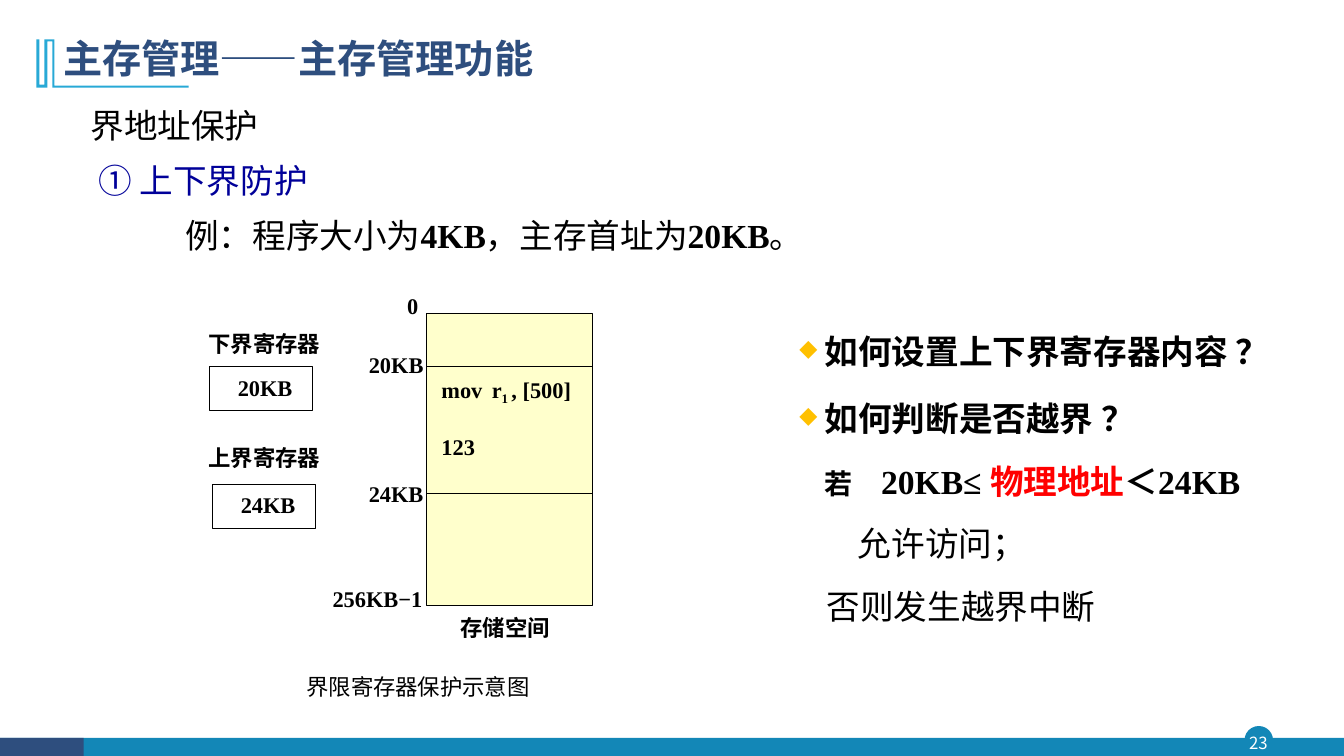
"""Build the slide on main-memory bounds protection with lower and upper limit registers."""
from dataclasses import dataclass

from lxml import etree
from pptx import Presentation
from pptx.dml.color import RGBColor
from pptx.enum.shapes import MSO_CONNECTOR, MSO_SHAPE
from pptx.enum.text import MSO_ANCHOR, PP_ALIGN
from pptx.oxml.ns import qn
from pptx.util import Pt

PX = 9144
WIDTH, HEIGHT = 1333, 750
RECT, OVAL = MSO_SHAPE.RECTANGLE, MSO_SHAPE.OVAL
STRAIGHT = MSO_CONNECTOR.STRAIGHT
TOP, MIDDLE = MSO_ANCHOR.TOP, MSO_ANCHOR.MIDDLE
LEFT, CENTER = PP_ALIGN.LEFT, PP_ALIGN.CENTER
SERIF, SANS = "Times New Roman", "Noto Sans CJK SC"
COLORS = {
    "teal": "1387B7", "navy": "2E4E7E", "sky": "28A9D6", "black": "000000",
    "white": "FFFFFF", "cream": "FFFFCC", "blue": "000099", "red": "FF0000",
    "gold": "FFC000",
}


@dataclass(frozen=True)
class Piece:
    text: str
    size: float | None = None
    bold: bool | None = None
    color: str | None = None
    baseline: int | None = None


@dataclass(frozen=True)
class Para:
    pieces: tuple[Piece, ...]
    size: float = 24
    bold: bool = False
    color: str = "black"
    font: str = SERIF
    spacing: float | None = None
    before: float = 0
    margin: int = 0
    indent: int = 0
    tab: int = 0
    bullet: str = ""
    align: PP_ALIGN = LEFT


@dataclass(frozen=True)
class Block:
    box: tuple[int, int, int, int]
    paras: tuple[Para, ...]
    anchor: MSO_ANCHOR = TOP
    inset: tuple[int, int] = (10, 5)


@dataclass(frozen=True)
class Panel:
    box: tuple[int, int, int, int]
    fill: str
    line: str | None = None
    weight: float = 0.75
    kind: MSO_SHAPE = RECT


def rgb(name: str) -> RGBColor:
    return RGBColor.from_string(COLORS[name])


def emu(*lengths: int) -> list[int]:
    return [length * PX for length in lengths]


def label(left: int, top: int, width: int, text: str, bold: bool = True) -> Block:
    return Block((left, top, width, 37), (Para((Piece(text),), size=16, bold=bold),))


def add_mark(props, tag: str, **attributes: str):
    return etree.SubElement(props, qn(tag), attributes)


def write_para(paragraph, para: Para) -> None:
    props = paragraph._p.get_or_add_pPr()
    props.set("marL", str(para.margin * PX))
    props.set("indent", str(para.indent * PX))
    if para.bullet:
        tint = add_mark(props, "a:buClr")
        add_mark(tint, "a:srgbClr", val=COLORS["gold"])
        add_mark(props, "a:buSzPct", val="70000")
        add_mark(props, "a:buChar", char=para.bullet)
    if para.tab:
        stops = add_mark(props, "a:tabLst")
        add_mark(stops, "a:tab", pos=str(para.tab * PX), algn="l")
    paragraph.alignment = para.align
    if para.spacing:
        paragraph.line_spacing = para.spacing
    if para.before:
        paragraph.space_before = Pt(para.before)
    font = paragraph.font
    font.size, font.bold, font.name = Pt(para.size), para.bold, para.font
    font.color.rgb = rgb(para.color)
    add_mark(font._element, "a:ea", typeface=SANS)
    for piece in para.pieces:
        run = paragraph.add_run()
        run.text = piece.text
        if piece.size:
            run.font.size = Pt(piece.size)
        if piece.bold is not None:
            run.font.bold = piece.bold
        if piece.color:
            run.font.color.rgb = rgb(piece.color)
        if piece.baseline:
            run.font._element.set("baseline", str(piece.baseline * 1000))


def draw_block(slide, block: Block) -> None:
    frame = slide.shapes.add_textbox(*emu(*block.box)).text_frame
    frame.word_wrap = True
    frame.vertical_anchor = block.anchor
    frame.margin_left = frame.margin_right = block.inset[0] * PX
    frame.margin_top = frame.margin_bottom = block.inset[1] * PX
    for index, para in enumerate(block.paras):
        write_para(frame.add_paragraph() if index else frame.paragraphs[0], para)


def draw_panel(slide, panel: Panel) -> None:
    shape = slide.shapes.add_shape(panel.kind, *emu(*panel.box))
    shape.shadow.inherit = False
    shape.fill.solid()
    shape.fill.fore_color.rgb = rgb(panel.fill)
    if panel.line:
        shape.line.color.rgb = rgb(panel.line)
        shape.line.width = Pt(panel.weight)
    else:
        shape.line.fill.background()


def draw_divider(slide, y: int) -> None:
    divider = slide.shapes.add_connector(STRAIGHT, *emu(424, y, 588, y))
    divider.line.color.rgb = rgb("black")
    divider.line.width = Pt(0.75)
    add_mark(divider._element.spPr, "a:effectLst")


def draw_emblem(slide) -> None:
    outline = [(54, 39), (54, 85), (187, 85), (187, 87), (52, 87), (52, 41), (47, 41),
               (47, 87), (36, 87), (36, 39), (39, 39), (39, 84), (44, 84), (44, 39)]
    builder = slide.shapes.build_freeform(*outline[0], scale=PX)
    builder.add_line_segments(outline[1:], close=True)
    emblem = builder.convert_to_shape()
    emblem.shadow.inherit = False
    emblem.fill.solid()
    emblem.fill.fore_color.rgb = rgb("sky")
    emblem.line.fill.background()


PANELS = (
    Panel((1235, 721, 27, 27), "teal", "teal", 1, OVAL),
    Panel((0, 732, WIDTH, 18), "teal"),
    Panel((0, 732, 83, 18), "navy"),
    Panel((423, 311, 165, 290), "cream", "black"),
    Panel((208, 364, 102, 43), "white", "black"),
    Panel((211, 481, 102, 43), "white", "black"),
)
QUESTION = {"bold": True, "font": SANS, "spacing": 1.5, "margin": 94, "indent": -25, "bullet": "◆"}
BLOCKS = (
    Block((1232, 721, 32, 31), (Para((Piece("23"),), size=12, color="white", font=SANS,
                                     align=CENTER),), MIDDLE, (0, 0)),
    Block((53, 32, 1049, 56), (Para((Piece("主存管理——主存管理功能"),), size=28, bold=True,
                                    color="navy", font=SANS, spacing=0.9),), MIDDLE),
    Block((80, 91, 916, 170), (
        Para((Piece("界地址保护"),), spacing=1.2),
        Para((Piece("① 上下界防护"),), color="blue", spacing=1.2, before=4.8, indent=8),
        Para((Piece("例：程序大小为"), Piece("4KB", bold=True), Piece("，主存首址为"),
              Piece("20KB", bold=True), Piece("。")), spacing=1.2, before=4.8, indent=94),
    )),
    Block((428, 368, 160, 100), (
        Para((Piece("mov\tr"), Piece("1 ", baseline=-25), Piece(", [500]")),
             size=16, bold=True, tab=54),
        Para((Piece("123"),), size=16, bold=True, before=19),
    )),
    label(394, 285, 34, "0"),
    label(356, 343, 88, "20KB"),
    label(356, 471, 90, "24KB"),
    label(320, 576, 119, "256KB−1"),
    label(447, 604, 115, "存储空间"),
    label(197, 323, 146, "下界寄存器"),
    label(226, 366, 85, "20KB"),
    label(197, 436, 138, "上界寄存器"),
    label(229, 482, 87, "24KB"),
    Block((714, 303, 565, 332), (
        Para((Piece("如何设置上下界寄存器内容 ？"),), **QUESTION),
        Para((Piece("如何判断是否越界 ？"),), before=5, **QUESTION),
        Para((Piece("若\t", size=20), Piece("20KB≤ "), Piece("物理地址", color="red"),
              Piece("＜24KB")), bold=True, spacing=1.3, before=7.2, indent=94, tab=131),
        Para((Piece("允许访问；"),), spacing=1.3, before=7.2, indent=127),
        Para((Piece("否则发生越界中断"),), spacing=1.3, before=7.2, indent=96),
    )),
    label(294, 663, 268, "界限寄存器保护示意图", bold=False),
)


def main() -> None:
    deck = Presentation()
    deck.slide_width, deck.slide_height = emu(WIDTH, HEIGHT)
    slide = deck.slides.add_slide(deck.slide_layouts[6])
    for panel in PANELS:
        draw_panel(slide, panel)
    draw_emblem(slide)
    for y in (364, 490):
        draw_divider(slide, y)
    for block in BLOCKS:
        draw_block(slide, block)
    deck.save("out.pptx")


if __name__ == "__main__":
    main()
